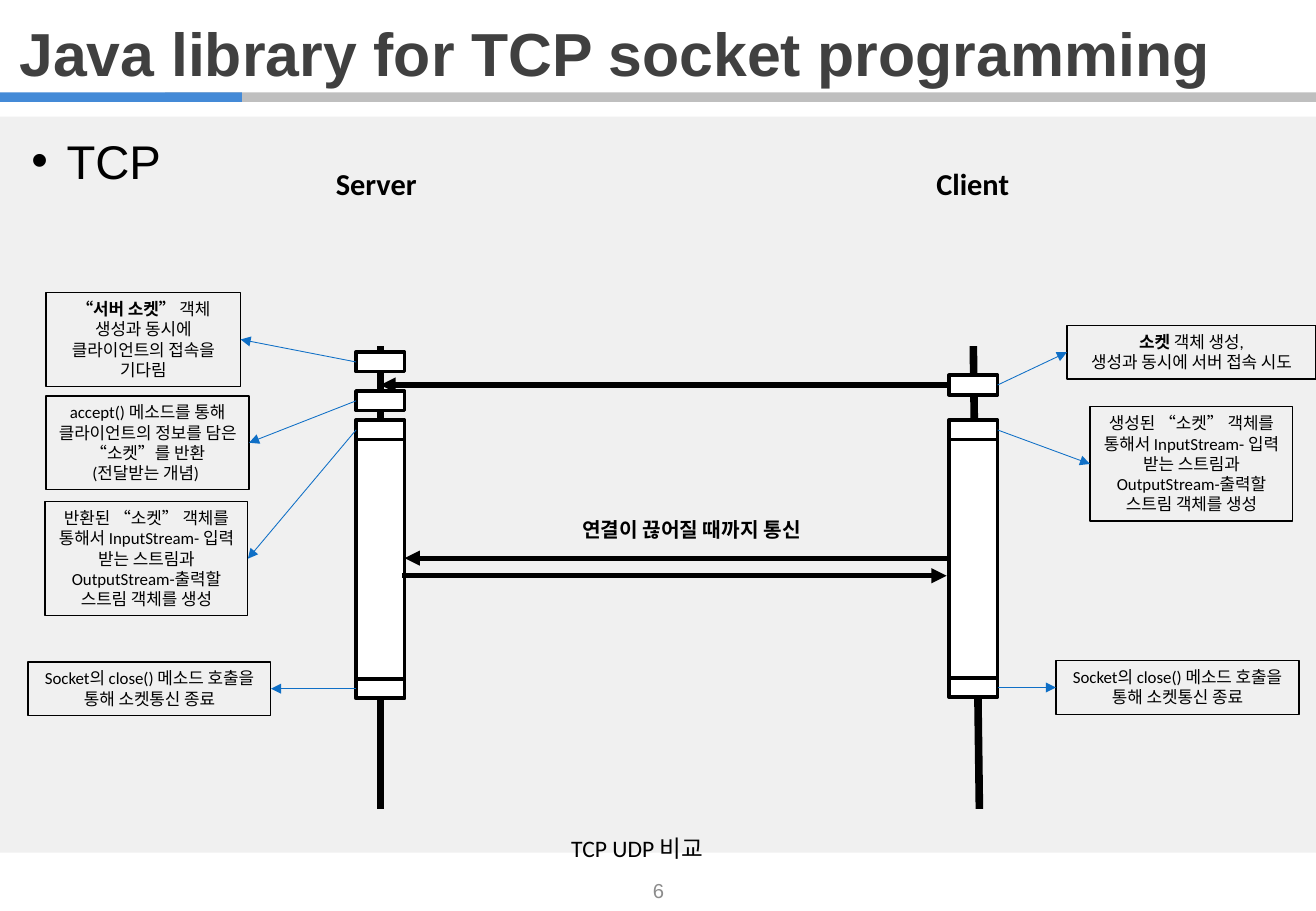
from dataclasses import dataclass

from lxml import etree
from pptx import Presentation
from pptx.dml.color import RGBColor
from pptx.enum.shapes import MSO_CONNECTOR, MSO_SHAPE
from pptx.enum.text import MSO_ANCHOR, MSO_AUTO_SIZE, PP_ALIGN
from pptx.oxml.ns import qn
from pptx.util import Inches, Pt

RECT = MSO_SHAPE.RECTANGLE
STRAIGHT = MSO_CONNECTOR.STRAIGHT
MIDDLE = MSO_ANCHOR.MIDDLE
TOP = MSO_ANCHOR.TOP
GROW = MSO_AUTO_SIZE.SHAPE_TO_FIT_TEXT
FIXED = MSO_AUTO_SIZE.NONE
LEFT = PP_ALIGN.LEFT
CENTER = PP_ALIGN.CENTER
LEFT_SIDE, RIGHT_SIDE = 1, 3


@dataclass(frozen=True)
class Theme:
    black: str = "000000"
    white: str = "FFFFFF"
    title: str = "404040"
    number: str = "8C8C8C"
    panel: str = "D9D9D9"
    band: str = "BFBFBF"
    accent: str = "448AD7"
    link: str = "0F6FC6"
    head_font: str = "Arial"
    body_font: str = "Calibri"
    title_size: float = 36
    point_size: float = 28
    role_size: float = 18
    foot_size: float = 14
    label_size: float = 12
    note_size: float = 10


class Deck:
    def __init__(self, theme):
        self.theme = theme
        self.file = Presentation()
        self.file.slide_width = Inches(10.83)
        self.file.slide_height = Inches(7.5)
        self.slide = self.file.slides.add_slide(self.file.slide_layouts[6])

    def rect(self, box, fill, line=None, alpha=None):
        shape = self.slide.shapes.add_shape(RECT, *map(Inches, box))
        shape.shadow.inherit = False
        shape.fill.solid()
        shape.fill.fore_color.rgb = RGBColor.from_string(fill)
        if alpha:
            color = shape.fill._xPr.find(".//" + qn("a:srgbClr"))
            etree.SubElement(color, qn("a:alpha"), val=str(alpha * 1000))
        if line:
            shape.line.color.rgb = RGBColor.from_string(self.theme.black)
            shape.line.width = Pt(line)
        else:
            shape.line.fill.background()
        return shape

    def text(self, box, paras, size, font=None, color=None, align=CENTER,
             anchor=TOP, grow=True, frame=False, bullet=False, flush=False, spacing=None):
        shape = self.slide.shapes.add_textbox(*map(Inches, box))
        if frame:
            shape.line.color.rgb = RGBColor.from_string(self.theme.black)
            shape.line.width = Pt(0.75)
        body = shape.text_frame
        body.word_wrap = True
        body.auto_size = GROW if grow else FIXED
        body.vertical_anchor = anchor
        if flush:
            body.margin_left = body.margin_right = 0
            body.margin_top = body.margin_bottom = 0
        for index, runs in enumerate(paras):
            para = body.paragraphs[0] if index == 0 else body.add_paragraph()
            para.alignment = align
            if spacing:
                para.line_spacing = spacing
            if bullet:
                props = para._p.get_or_add_pPr()
                props.set("marL", str(Inches(0.29)))
                props.set("indent", str(Inches(-0.29)))
                etree.SubElement(props, qn("a:buFont"), typeface=self.theme.head_font)
                etree.SubElement(props, qn("a:buChar"), char="•")
            for words, bold in runs:
                run = para.add_run()
                run.text = words
                run.font.name = font or self.theme.body_font
                run.font.size = Pt(size)
                run.font.bold = bold
                run.font.color.rgb = RGBColor.from_string(color or self.theme.black)
        return shape

    def line(self, start, end, color, width, arrow=True):
        link = self.slide.shapes.add_connector(STRAIGHT, *map(Inches, (*start, *end)))
        link.line.color.rgb = RGBColor.from_string(color)
        link.line.width = Pt(width)
        if arrow:
            etree.SubElement(link.line._ln, qn("a:tailEnd"), type="triangle")
        etree.SubElement(link._element.spPr, qn("a:effectLst"))
        return link

    def join(self, first, side, last, color, width):
        link = self.line((0, 0), (1, 1), color, width)
        link.begin_connect(first, side)
        link.end_connect(last, LEFT_SIDE + RIGHT_SIDE - side)

    def save(self):
        self.file.save("out.pptx")


SERVER_X, CLIENT_X, BAR_WIDTH = 2.93, 7.81, 0.4
STREAM = "“소켓” 객체를 통해서 InputStream- 입력 받는 스트림과 OutputStream-출력할 스트림 객체를 생성"
CLOSE = [[("Socket의 close() 메소드 호출을 통해 소켓통신 종료", False)]]

SERVER_STEPS = [
    (2.9, (0.38, 2.41, 1.6, 0.77),
     [[("“서버 소켓” ", True), ("객체 생성과 동시에 클라이언트의 접속을 기다림", False)]]),
    (3.22, (0.38, 3.26, 1.67, 0.77),
     [[("accept() 메소드를 통해 클라이언트의 정보를 담은 “소켓”를 반환(전달받는 개념) ", False)]]),
    (3.46, (0.37, 4.13, 1.67, 0.94), [[("반환된 " + STREAM, False)]]),
    (5.59, (0.23, 5.45, 2, 0.44), CLOSE),
]
CLIENT_STEPS = [
    (3.09, (8.78, 2.68, 2.05, 0.44),
     [[("소켓", True), (" 객체 생성,", False)], [("생성과 동시에 서버 접속 시도", False)]]),
    (3.46, (8.97, 3.35, 1.67, 0.94), [[("생성된 " + STREAM, False)]]),
    (5.58, (8.69, 5.44, 2, 0.44), CLOSE),
]


def main():
    theme = Theme()
    deck = Deck(theme)

    deck.rect((0, 0.96, 10.83, 6.06), theme.panel, alpha=38)
    deck.rect((1.36, 0.76, 9.47, 0.08), theme.band)
    deck.rect((0, 0.76, 1.99, 0.08), theme.accent)
    deck.text((0.16, 1.04, 10.5, 5.78), [[("TCP", False)]], theme.point_size,
              theme.head_font, align=LEFT, grow=False, bullet=True)
    deck.text((0.16, 0.2, 10.67, 0.55), [[("Java library for TCP socket programming", True)]],
              theme.title_size, theme.head_font, theme.title, LEFT, flush=True, spacing=0.9)
    deck.text((4.2, 7.13, 2.44, 0.4), [[("6", False)]], theme.label_size,
              theme.head_font, theme.number, anchor=MIDDLE, grow=False)
    deck.text((4.45, 6.82, 1.59, 0.34), [[("TCP UDP 비교", False)]], theme.foot_size)

    bars, marks = [], []
    for role, label_x, bar_x, foot_x, side, steps in (
        ("Server ", 2.2, SERVER_X, 3.13, LEFT_SIDE, SERVER_STEPS),
        ("Client", 7.08, CLIENT_X, 8.06, RIGHT_SIDE, CLIENT_STEPS),
    ):
        deck.text((label_x, 1.31, 1.85, 0.4), [[(role, True)]], theme.role_size)
        deck.line((bar_x + BAR_WIDTH / 2, 2.85), (foot_x, 6.66), theme.black, 4.5, False)
        bars.append(deck.rect((bar_x, 3.6, BAR_WIDTH, 1.99), theme.white, 2.25))
        for mark_y, box, paras in steps:
            mark = deck.rect((bar_x, mark_y, BAR_WIDTH, 0.16), theme.white, 2.25)
            note = deck.text(box, paras, theme.note_size, frame=True)
            deck.join(mark, side, note, theme.link, 0.5)
            marks.append(mark)

    server, client = bars
    request = deck.line((CLIENT_X, 3.17), (3.13, 3.17), theme.black, 3)
    request.begin_connect(marks[len(SERVER_STEPS)], LEFT_SIDE)
    deck.join(client, LEFT_SIDE, server, theme.black, 3)
    deck.line((3.31, 4.74), (7.79, 4.74), theme.black, 3)
    deck.text((4.49, 4.21, 2.44, 0.3), [[("연결이 끊어질 때까지 통신 ", True)]], theme.label_size)
    deck.save()


if __name__ == "__main__":
    main()
